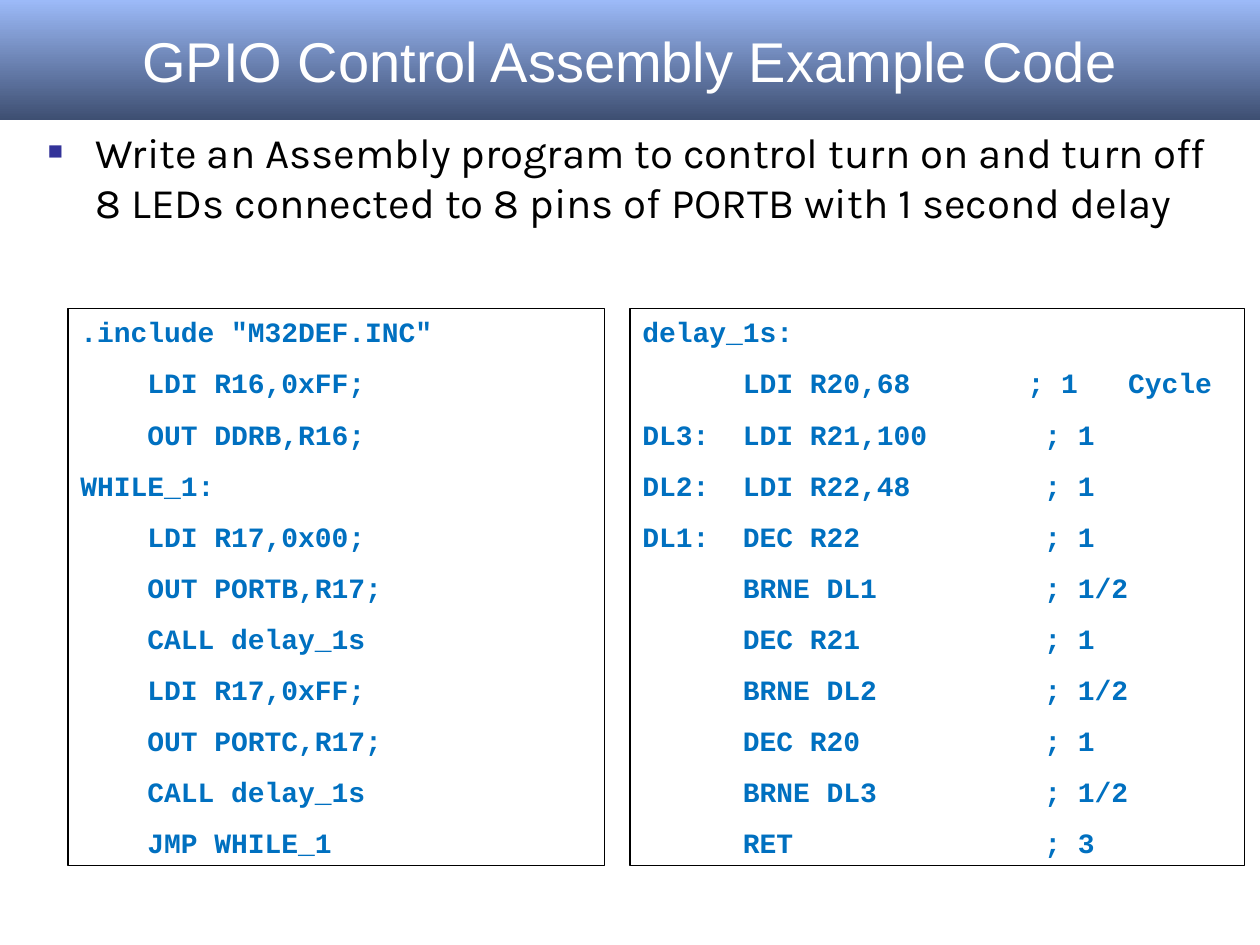
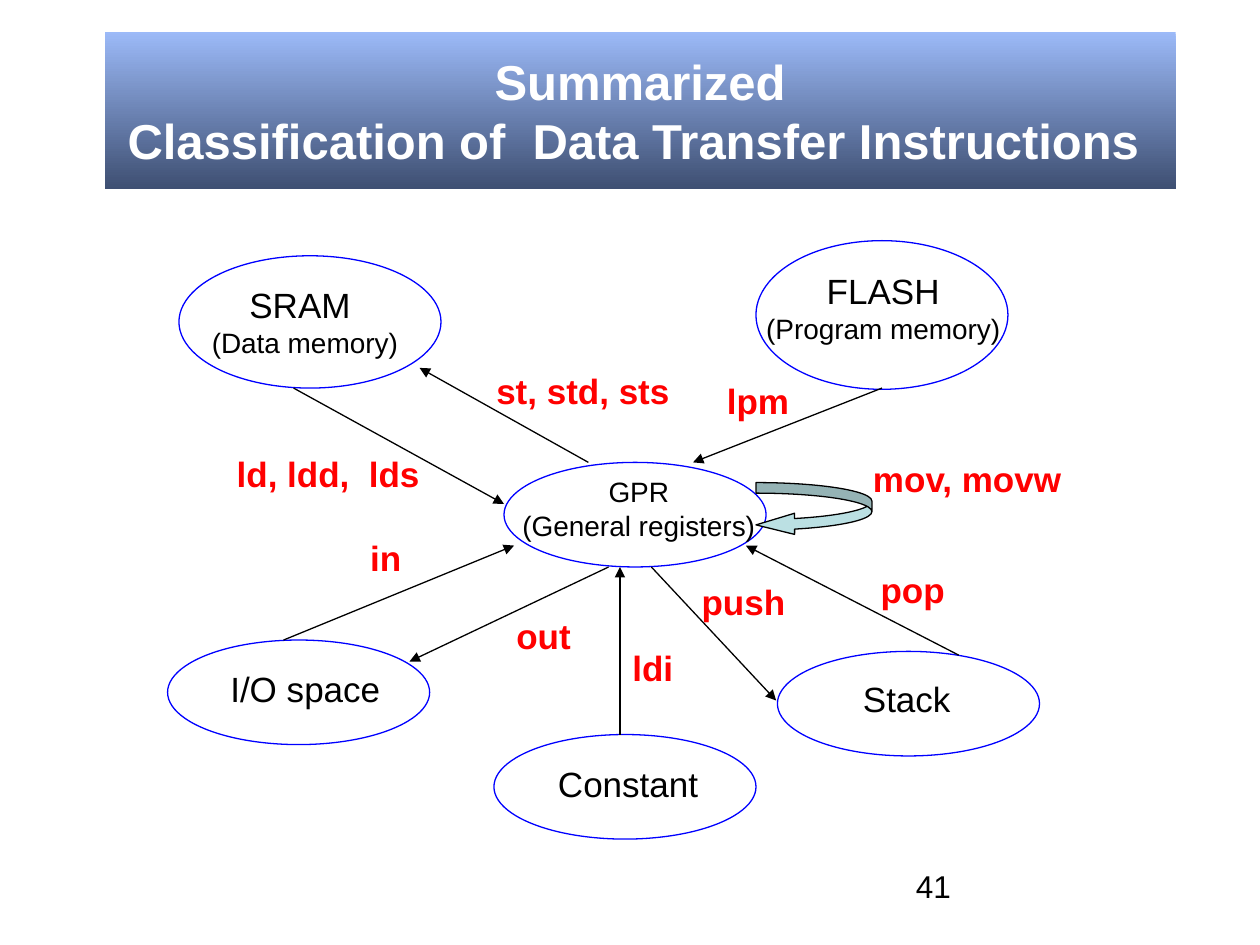
"""Builds two slides on port control and data transfer instructions."""
from lxml import etree
from pptx import Presentation
from pptx.dml.color import RGBColor
from pptx.enum.shapes import MSO_CONNECTOR, MSO_SHAPE
from pptx.enum.text import MSO_ANCHOR, MSO_AUTO_SIZE, PP_ALIGN
from pptx.oxml.ns import qn
from pptx.util import Inches, Pt

LEFT, MID = PP_ALIGN.LEFT, PP_ALIGN.CENTER
TOP, MIDDLE = MSO_ANCHOR.TOP, MSO_ANCHOR.MIDDLE
FIXED = MSO_AUTO_SIZE.NONE
OVAL, CURVE = MSO_SHAPE.OVAL, MSO_SHAPE.CURVED_LEFT_ARROW
STRAIGHT = MSO_CONNECTOR.STRAIGHT

BLACK = RGBColor(0x00, 0x00, 0x00)
WHITE = RGBColor(0xFF, 0xFF, 0xFF)
RED = RGBColor(0xFF, 0x00, 0x00)
BLUE = RGBColor(0x00, 0x00, 0xFF)
CODE = RGBColor(0x00, 0x70, 0xC0)
SKY = RGBColor(0x9C, 0xBA, 0xF8)
NAVY = RGBColor(0x3E, 0x4F, 0x72)
TEAL = RGBColor(0xBB, 0xE0, 0xE3)

MAIN = """.include "M32DEF.INC"
    LDI R16,0xFF;
    OUT DDRB,R16;
WHILE_1:
    LDI R17,0x00;
    OUT PORTB,R17;
    CALL delay_1s
    LDI R17,0xFF;
    OUT PORTC,R17;
    CALL delay_1s
    JMP WHILE_1"""

DELAY = """delay_1s:
      LDI R20,68       ; 1   Cycle
DL3:  LDI R21,100       ; 1
DL2:  LDI R22,48        ; 1
DL1:  DEC R22           ; 1
      BRNE DL1          ; 1/2
      DEC R21           ; 1
      BRNE DL2          ; 1/2
      DEC R20           ; 1
      BRNE DL3          ; 1/2
      RET               ; 3"""


def write(frame, lines, sizes=(20,), font="Arial", color=BLACK, bold=False,
          align=LEFT, anchor=TOP, gap=0, lead=None, wrap=True):
    """Fill a text frame with one paragraph per line, the last size repeating."""
    frame.auto_size, frame.word_wrap = FIXED, wrap
    frame.vertical_anchor = anchor
    for i, line in enumerate(lines):
        para = frame.add_paragraph() if i else frame.paragraphs[0]
        para.text = line
        para.alignment = align
        para.space_before = Pt(gap if i else 0)
        if lead:
            para.line_spacing = lead
        for run in para.runs:
            run.font.size = Pt(sizes[min(i, len(sizes) - 1)])
            run.font.name = font
            run.font.bold = bold
            run.font.color.rgb = color


class Deck:
    """Hold the shared style and the current slide."""

    def __init__(self):
        """Start an empty deck."""
        self.prs = Presentation()
        self.prs.slide_width, self.prs.slide_height = Inches(10), Inches(7.5)

    def start(self, layout):
        """Add a slide and make it current."""
        self.slide = self.prs.slides.add_slide(self.prs.slide_layouts[layout])

    def place(self, shape, box):
        """Move a shape to a box given in inches."""
        shape.left, shape.top, shape.width, shape.height = map(Inches, box)

    def title(self, line, box, size, bold=False):
        """Set the title on its gradient band."""
        shape = self.slide.shapes.title
        self.place(shape, box)
        shape.fill.gradient()
        shape.fill.gradient_angle = 270
        for stop, color, spot in zip(shape.fill.gradient_stops, (SKY, NAVY), (0, 1)):
            stop.color.rgb = color
            stop.position = spot
        write(shape.text_frame, [line], (size,), color=WHITE, bold=bold,
              align=MID, anchor=MIDDLE)

    def bullets(self, lines, box):
        """Set the body list with square bullets."""
        shape = self.slide.placeholders[1]
        self.place(shape, box)
        write(shape.text_frame, lines, (24,), font="Karla", gap=6)
        for para in shape.text_frame.paragraphs:
            props = para._p.get_or_add_pPr()
            props.set("marL", str(Inches(0.38)))
            props.set("indent", str(-Inches(0.38)))
            tint = etree.SubElement(props, qn("a:buClr"))
            etree.SubElement(tint, qn("a:srgbClr"), val="333399")
            etree.SubElement(props, qn("a:buSzPct"), val="60000")
            etree.SubElement(props, qn("a:buFont"), typeface="Arial")
            etree.SubElement(props, qn("a:buChar"), char="■")

    def text(self, lines, box, edge=None, **style):
        """Add a text box, framed if an edge colour is given."""
        shape = self.slide.shapes.add_textbox(*map(Inches, box))
        if edge is not None:
            shape.line.color.rgb = edge
            shape.line.width = Pt(0.75)
        write(shape.text_frame, lines, **style)

    def code(self, source, box):
        """Add a framed code listing."""
        self.text(source.splitlines(), box, edge=BLACK, sizes=(16,),
                  font="Courier New", color=CODE, bold=True, gap=10)

    def shape(self, kind, box, edge, fill=None):
        """Add a preset shape."""
        shape = self.slide.shapes.add_shape(kind, *map(Inches, box))
        shape.shadow.inherit = False
        shape.line.color.rgb = edge
        shape.line.width = Pt(0.75)
        if fill is None:
            shape.fill.background()
        else:
            shape.fill.solid()
            shape.fill.fore_color.rgb = fill
        return shape

    def arrow(self, start, end):
        """Add a straight arrow between two points."""
        line = self.slide.shapes.add_connector(STRAIGHT, *map(Inches, start + end))
        line.line.color.rgb = BLACK
        line.line.width = Pt(0.75)
        etree.SubElement(line.line._get_or_add_ln(), qn("a:tailEnd"), type="triangle")
        etree.SubElement(line._element.spPr, qn("a:effectLst"))


def ports(deck):
    """Build the slide with the two code listings."""
    deck.start(1)
    deck.title("GPIO Control Assembly Example Code", (0, 0, 10, 0.95), 32)
    deck.bullets(["Write an Assembly program to control turn on and turn off "
                  "8 LEDs connected to 8 pins of PORTB with 1 second delay"],
                 (0.28, 0.95, 9.59, 1.5))
    deck.code(MAIN, (0.54, 2.45, 4.26, 4.42))
    deck.code(DELAY, (5, 2.45, 4.88, 4.42))


def moves(deck):
    """Build the slide with the data transfer diagram."""
    deck.start(5)
    deck.title("Summarized\nClassification of  Data Transfer Instructions ",
               (0.83, 0.25, 8.5, 1.25), 28, bold=True)
    nodes = [
        (["GPR", "(General registers)"], (16,), MID,
         (4, 3.67, 2.08, 0.83), (3.86, 3.72, 2.42, 0.64)),
        (["SRAM ", "(Data memory)"], (20, 16), MID,
         (1.42, 2.03, 2.08, 1.05), (1.37, 2.2, 2.1, 0.7)),
        (["FLASH", "(Program memory)"], (20, 16), MID,
         (6, 1.91, 2, 1.18), (5.65, 2.09, 2.72, 0.7)),
        (["I/O space"], (20,), LEFT,
         (1.33, 5.08, 2.08, 0.83), (1.73, 5.25, 1.6, 0.44)),
        (["Stack"], (20,), LEFT,
         (6.17, 5.17, 2.08, 0.83), (6.75, 5.33, 1.08, 0.44)),
        (["Constant"], (20,), LEFT,
         (3.92, 5.83, 2.08, 0.83), (4.33, 6, 1.75, 0.44)),
    ]
    for lines, sizes, align, oval, box in nodes:
        deck.shape(OVAL, oval, BLUE)
        deck.text(lines, box, sizes=sizes, align=align)

    arrows = [
        ((7, 3.08), (5.5, 3.67)),
        ((4.67, 3.67), (3.33, 2.92)),
        ((2.33, 3.08), (4, 4)),
        ((2.25, 5.08), (4.08, 4.33)),
        ((4.83, 4.5), (3.25, 5.25)),
        ((5.17, 4.5), (6.16, 5.56)),
        ((7.61, 5.2), (5.92, 4.33)),
        ((4.92, 5.83), (4.92, 4.5)),
    ]
    for start, end in arrows:
        deck.arrow(start, end)
    loop = deck.shape(CURVE, (6, 3.83, 0.92, 0.42), BLACK, TEAL)
    for i, value in enumerate((0.2, 0.4, 0.73)):
        loop.adjustments[i] = value

    labels = [
        ("st, std, sts", 3.84, 2.92, 1.65, 0.9),
        ("mov, movw", 6.83, 3.58, 1.71, 1),
        ("lpm", 5.67, 3, 0.69, 0.9),
        ("push", 5.47, 4.56, 0.9, 1),
        ("pop", 6.89, 4.5, 0.71, 0.9),
        ("ld, ldd,  lds", 1.78, 3.58, 1.65, 0.9),
        ("out", 4, 4.83, 0.63, 1),
        ("in", 2.84, 4.25, 0.44, 0.9),
        ("ldi", 4.92, 5.08, 0.52, 1),
    ]
    for word, left, top, width, lead in labels:
        deck.text([word], (left, top, width, 0.4 if lead < 1 else 0.44),
                  color=RED, bold=True, lead=lead, wrap=False)
    deck.text(["41"], (7.17, 6.83, 2.08, 0.5), sizes=(18,))


def main():
    """Build and save the deck."""
    deck = Deck()
    ports(deck)
    moves(deck)
    deck.prs.save("out.pptx")


if __name__ == "__main__":
    main()
